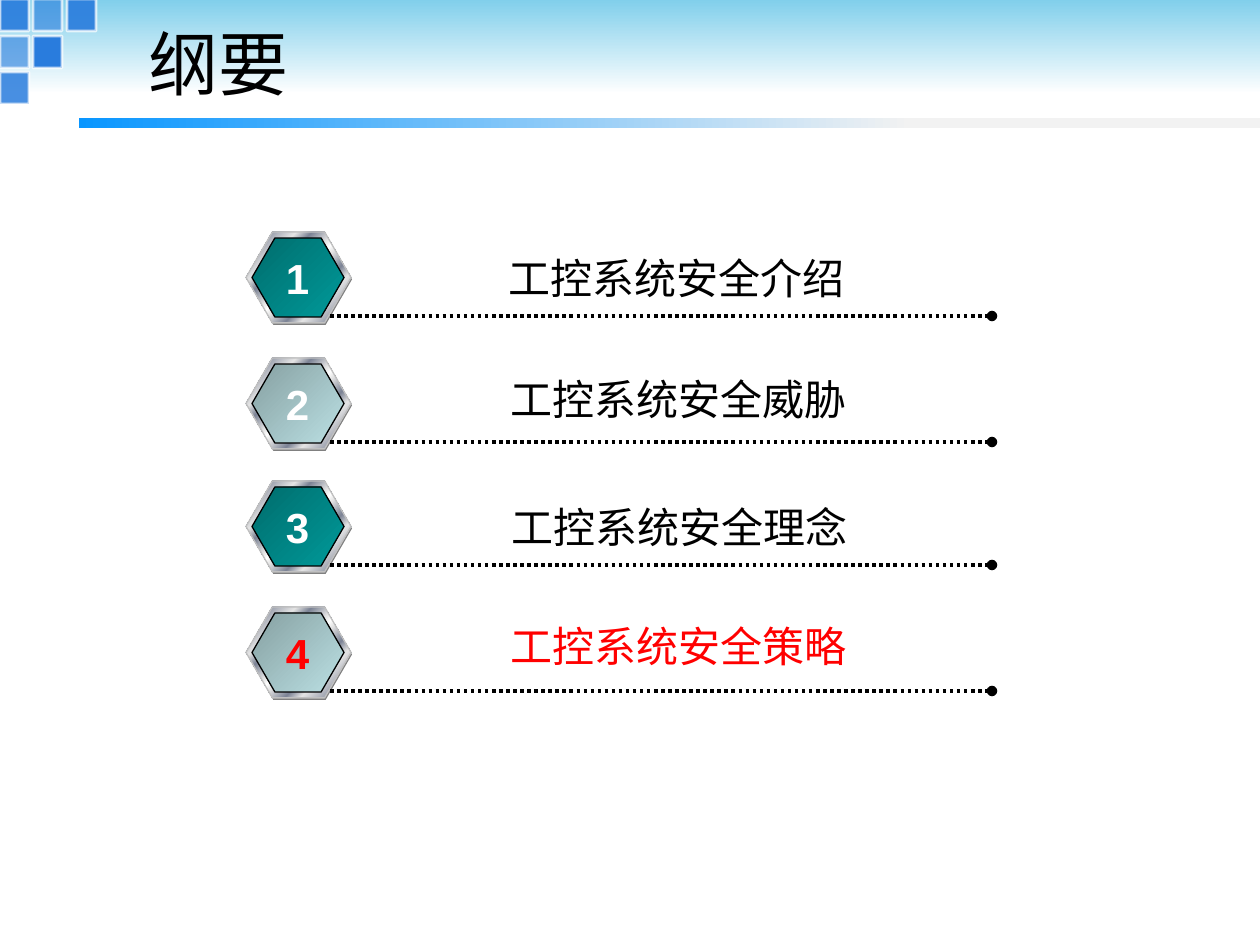
from dataclasses import dataclass

from lxml import etree
from pptx import Presentation
from pptx.dml.color import RGBColor
from pptx.enum.dml import MSO_LINE
from pptx.enum.shapes import MSO_CONNECTOR, MSO_SHAPE
from pptx.enum.text import MSO_ANCHOR, MSO_AUTO_SIZE, PP_ALIGN
from pptx.oxml.ns import qn
from pptx.shapes.autoshape import Shape
from pptx.shapes.shapetree import GroupShapes, SlideShapes
from pptx.util import Emu, Pt

EMU_PER_PX = 914400 / 126
RECTANGLE = MSO_SHAPE.RECTANGLE
HEXAGON = MSO_SHAPE.HEXAGON
STRAIGHT = MSO_CONNECTOR.STRAIGHT
DOTTED = MSO_LINE.ROUND_DOT
MIDDLE = MSO_ANCHOR.MIDDLE
FIT_SHAPE = MSO_AUTO_SIZE.SHAPE_TO_FIT_TEXT
LEFT = PP_ALIGN.LEFT
CENTER = PP_ALIGN.CENTER

Stops = tuple[tuple[int, str], ...]


@dataclass(frozen=True)
class Theme:
    black: str = "000000"
    white: str = "FFFFFF"
    red: str = "FF0000"
    square: str = "297CDD"
    hexagon_shadow: str = "808080"
    rim_line: str = "C0C0C0"
    header: Stops = ((0, "81CFEB"), (100, "FFFFFF"))
    bar: Stops = ((0, "0996FF"), (65, "F2F2F2"))
    teal: Stops = ((0, "006D6D"), (100, "009999"))
    pale: Stops = ((0, "86A0A2"), (100, "BBE0E3"))
    rim: Stops = (
        (0, "E6E6E6"), (8, "7D8496"), (26, "E6E6E6"), (34, "7D8496"),
        (46, "E6E6E6"), (50, "FFFFFF"), (54, "E6E6E6"), (66, "7D8496"),
        (74, "E6E6E6"), (92, "7D8496"), (100, "E6E6E6"),
    )
    title_font: str = "Times New Roman"
    number_font: str = "Arial"
    label_font: str = "Noto Sans CJK SC"
    title_size: int = 40
    body_size: int = 24


THEME = Theme()


@dataclass(frozen=True)
class Box:
    left: int
    top: int
    width: int
    height: int

    def emu(self) -> list[Emu]:
        return [px(n) for n in (self.left, self.top, self.width, self.height)]


@dataclass(frozen=True)
class TextStyle:
    font: str
    size: int
    color: str
    bold: bool = False
    alignment: PP_ALIGN = LEFT


@dataclass(frozen=True)
class Square:
    column: int
    row: int
    opacity: int


@dataclass(frozen=True)
class AgendaItem:
    label: str
    top: int
    label_left: int
    label_top: int
    fill: Stops
    number_color: str = THEME.white
    label_color: str = THEME.black


COLUMN_LEFTS = (0, 33, 67)
ROW_TOPS = (0, 37, 73)
SQUARES = (
    Square(0, 0, 90), Square(0, 1, 60), Square(0, 2, 85),
    Square(1, 1, 100), Square(1, 0, 60), Square(2, 0, 90),
)
ITEMS = (
    AgendaItem("工控系统安全介绍", 232, 496, 246, THEME.teal),
    AgendaItem("工控系统安全威胁", 358, 498, 367, THEME.pale),
    AgendaItem("工控系统安全理念", 481, 499, 495, THEME.teal),
    AgendaItem("工控系统安全策略", 607, 498, 614, THEME.pale, THEME.red, THEME.red),
)


def px(value: int) -> Emu:
    return Emu(round(value * EMU_PER_PX))


def rgb(color: str) -> RGBColor:
    return RGBColor.from_string(color)


def add_alpha(color: etree._Element, opacity: int) -> None:
    etree.SubElement(color, qn("a:alpha"), val=str(opacity * 1000))


def set_gradient(shape: Shape, stops: Stops, angle: int) -> None:
    shape.fill.gradient()
    shape.fill.gradient_angle = -angle % 360
    stop_list = shape.fill._xPr.find(".//" + qn("a:gsLst"))
    stop_list.clear()
    for position, color in stops:
        stop = etree.SubElement(stop_list, qn("a:gs"), pos=str(position * 1000))
        etree.SubElement(stop, qn("a:srgbClr"), val=color)


def add_filled(
    shapes: SlideShapes | GroupShapes,
    kind: MSO_SHAPE,
    box: Box,
    fill: str | Stops,
    angle: int = 0,
    line: str | None = None,
    line_width: float = 0.75,
) -> Shape:
    shape = shapes.add_shape(kind, *box.emu())
    shape.shadow.inherit = False
    if kind == HEXAGON:
        shape.adjustments[0] = 0.29
    if isinstance(fill, str):
        shape.fill.solid()
        shape.fill.fore_color.rgb = rgb(fill)
    else:
        set_gradient(shape, fill, angle)
    if line is None:
        shape.line.fill.background()
    else:
        shape.line.color.rgb = rgb(line)
        shape.line.width = Pt(line_width)
    return shape


def add_text(shapes: SlideShapes, box: Box, text: str, style: TextStyle) -> Shape:
    shape = shapes.add_textbox(*box.emu())
    shape.text_frame.word_wrap = False
    paragraph = shape.text_frame.paragraphs[0]
    paragraph.text = text
    paragraph.alignment = style.alignment
    paragraph.font.name = style.font
    paragraph.font.size = Pt(style.size)
    paragraph.font.bold = style.bold
    paragraph.font.color.rgb = rgb(style.color)
    defaults = paragraph._p.pPr.find(qn("a:defRPr"))
    etree.SubElement(defaults, qn("a:ea"), typeface=THEME.label_font)
    return shape


def add_square(shapes: GroupShapes, square: Square) -> None:
    box = Box(COLUMN_LEFTS[square.column], ROW_TOPS[square.row] - 1, 29, 32)
    shape = add_filled(shapes, RECTANGLE, box, THEME.square, line=THEME.white, line_width=1.5)
    fill_color, line_color = shape._element.spPr.iter(qn("a:srgbClr"))
    add_alpha(fill_color, square.opacity)
    add_alpha(line_color, 70)


def add_dotted_line(shapes: SlideShapes, left: int, right: int, top: int) -> None:
    connector = shapes.add_connector(STRAIGHT, px(left), px(top), px(right), px(top))
    connector.line.color.rgb = rgb(THEME.black)
    connector.line.width = Pt(2)
    connector.line.dash_style = DOTTED
    properties = connector._element.spPr
    etree.SubElement(properties.find(qn("a:ln")), qn("a:tailEnd"), type="oval")
    etree.SubElement(properties, qn("a:effectLst"))


def add_item(shapes: SlideShapes, number: int, item: AgendaItem) -> None:
    badge = shapes.add_group_shape().shapes
    add_filled(badge, HEXAGON, Box(247, item.top + 2, 105, 91), THEME.hexagon_shadow)
    add_filled(badge, HEXAGON, Box(246, item.top, 105, 91), THEME.rim, 45, THEME.rim_line)
    add_filled(badge, HEXAGON, Box(252, item.top + 6, 92, 79), item.fill, 45, THEME.black)
    add_dotted_line(shapes, 330, 992, item.top + 84)
    number_style = TextStyle(THEME.number_font, THEME.body_size, item.number_color, True, CENTER)
    label_style = TextStyle(THEME.label_font, THEME.body_size, item.label_color)
    for box, text, style in (
        (Box(273, item.top + 14, 49, 63), str(number), number_style),
        (Box(item.label_left, item.label_top, 362, 67), item.label, label_style),
    ):
        add_text(shapes, box, text, style).text_frame.auto_size = FIT_SHAPE


def main() -> None:
    presentation = Presentation()
    presentation.slide_width, presentation.slide_height = px(1260), px(945)
    slide = presentation.slides.add_slide(presentation.slide_layouts[6])
    shapes = slide.shapes
    add_filled(shapes, RECTANGLE, Box(0, 0, 1260, 94), THEME.header, 90)
    squares = shapes.add_group_shape().shapes
    for square in SQUARES:
        add_square(squares, square)
    add_filled(shapes, RECTANGLE, Box(79, 118, 1280, 10), THEME.bar)
    title_style = TextStyle(THEME.title_font, THEME.title_size, THEME.black)
    title = add_text(shapes, Box(136, 21, 1009, 84), "纲要", title_style)
    title.text_frame.word_wrap = True
    title.text_frame.vertical_anchor = MIDDLE
    for number, item in enumerate(ITEMS, start=1):
        add_item(shapes, number, item)
    presentation.save("out.pptx")


if __name__ == "__main__":
    main()
